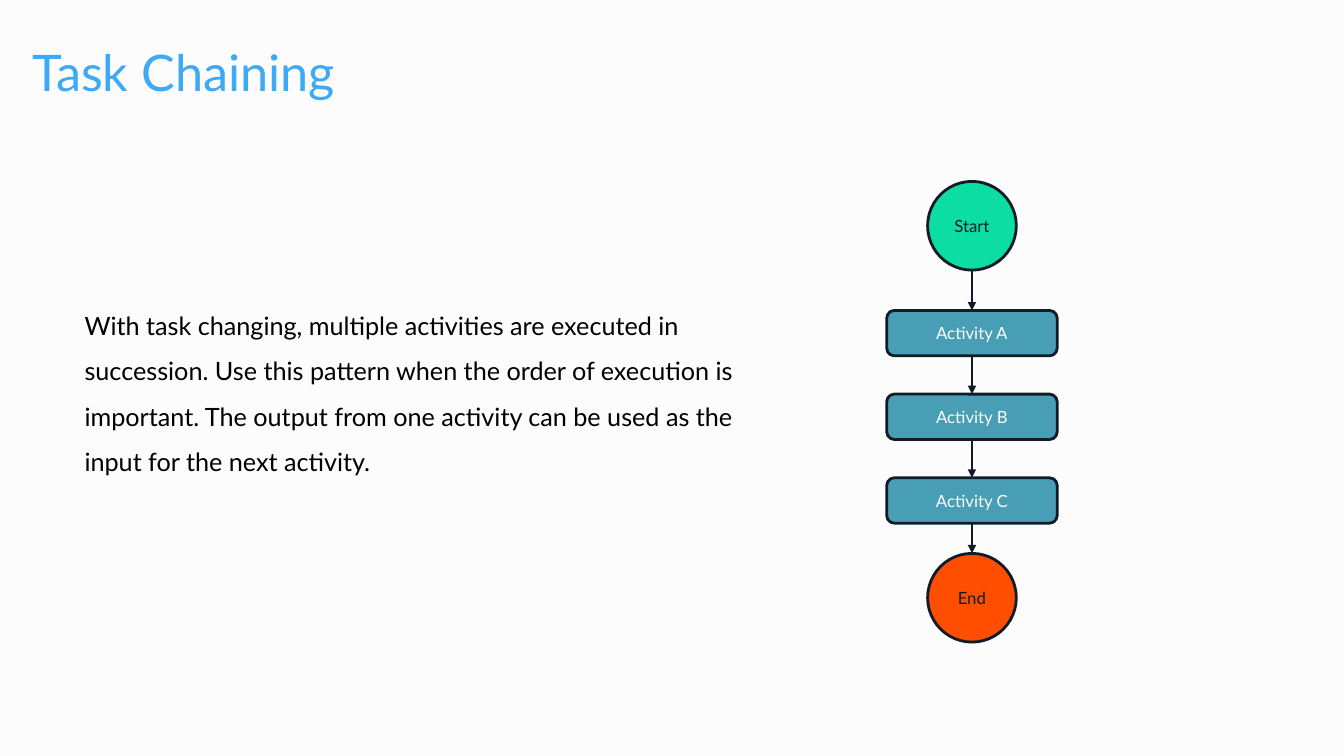
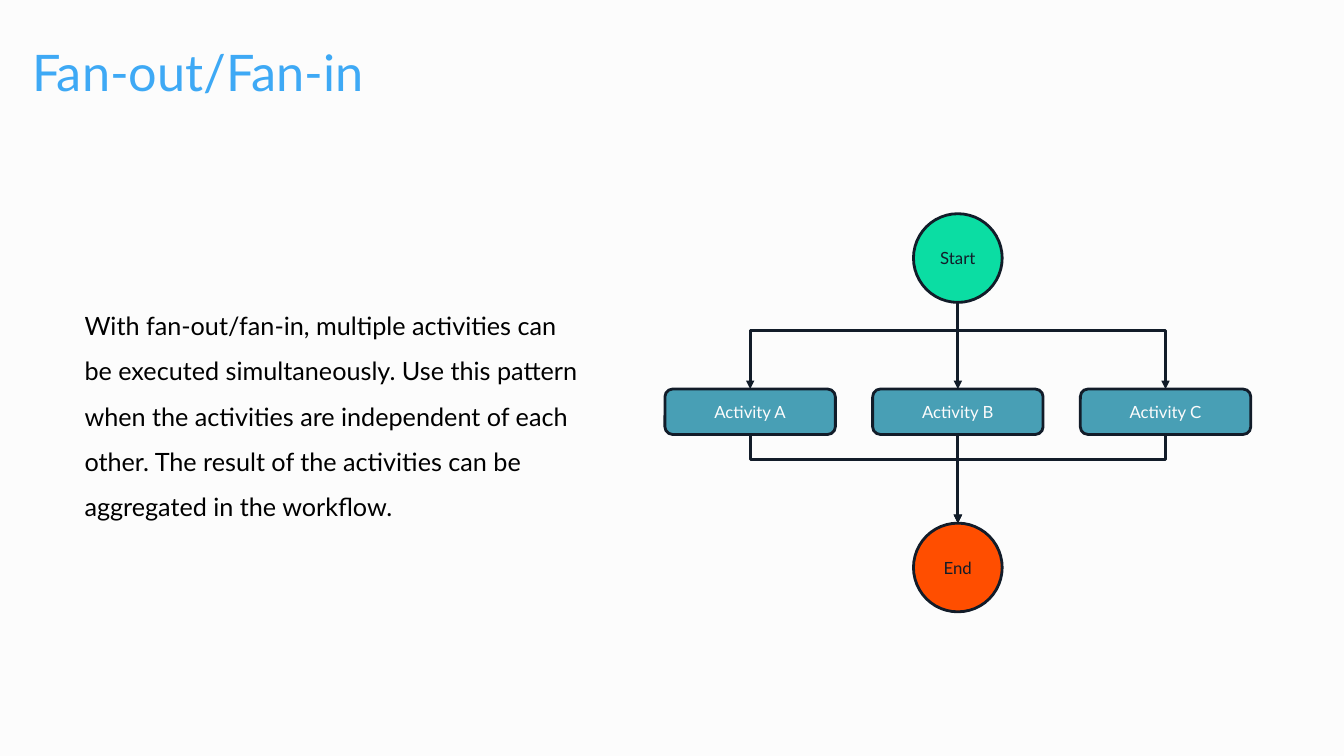
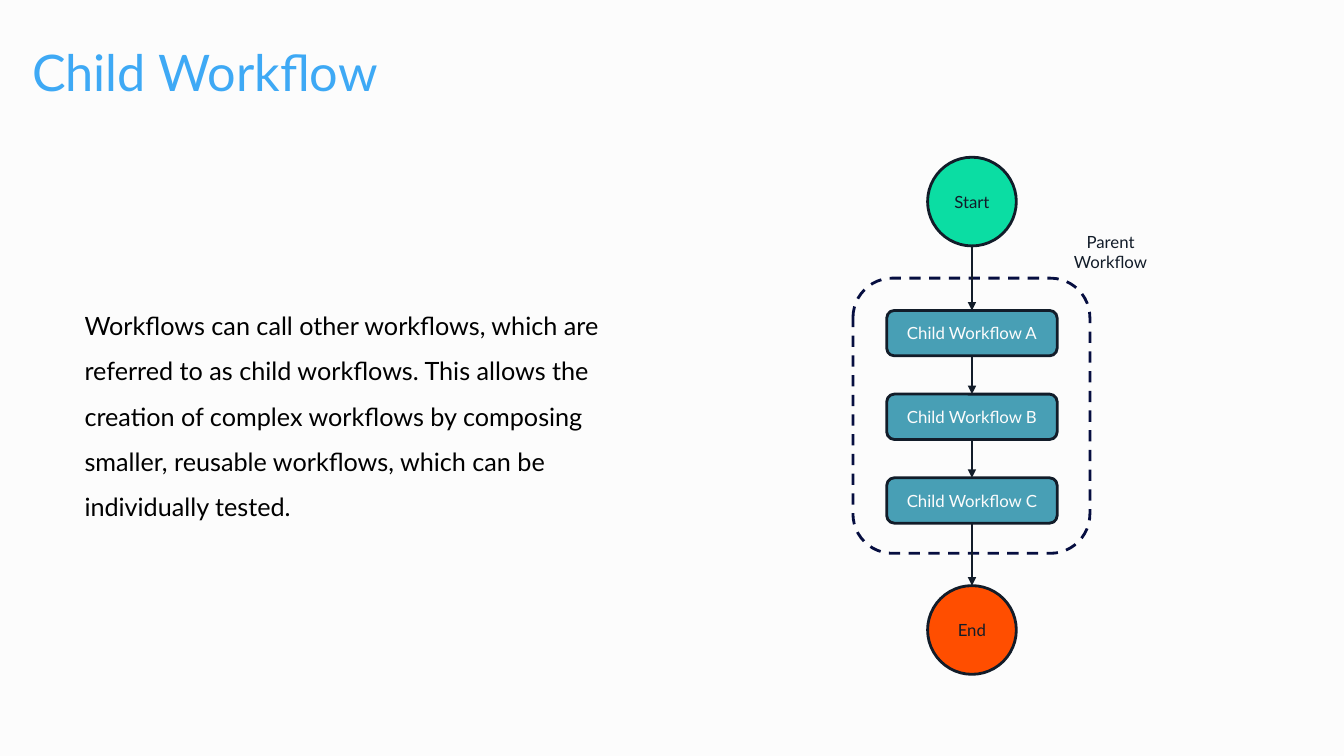
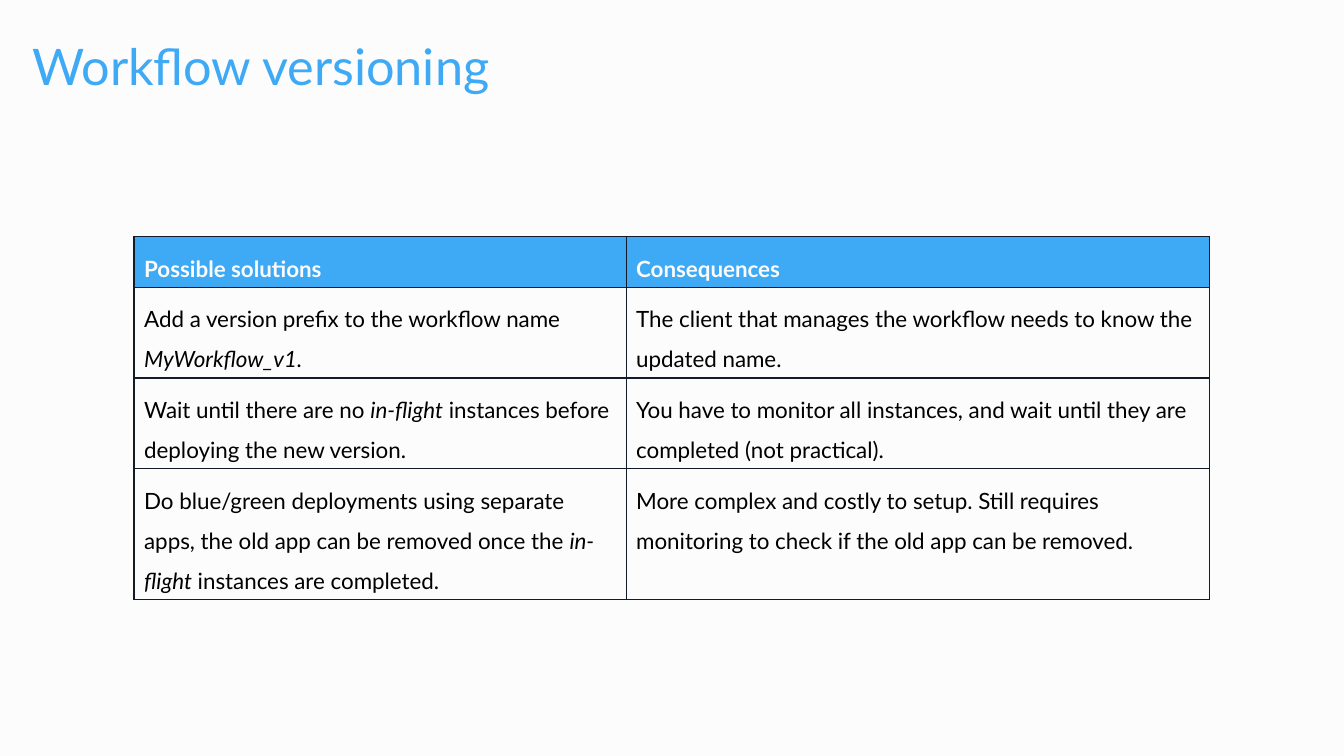
from lxml.etree import SubElement
from pptx import Presentation
from pptx.dml.color import RGBColor
from pptx.enum.dml import MSO_LINE
from pptx.enum.shapes import MSO_CONNECTOR, MSO_SHAPE
from pptx.enum.text import MSO_ANCHOR, MSO_AUTO_SIZE, PP_ALIGN
from pptx.oxml.ns import qn
from pptx.util import Inches, Pt

PAPER = RGBColor(0xFC, 0xFC, 0xFC)
SKY = RGBColor(0x3E, 0xA9, 0xF5)
INK = RGBColor(0x12, 0x1C, 0x29)
NAVY = RGBColor(0x06, 0x0E, 0x40)
TEAL = RGBColor(0x48, 0x9F, 0xB5)
GREEN = RGBColor(0x0B, 0xDD, 0xA3)
ORANGE = RGBColor(0xFF, 0x4E, 0x00)
BLACK = RGBColor(0x00, 0x00, 0x00)

FONT = "Lato"
CIRCLE = 0.88
ACTIVITY_WIDTH = 1.69
ACTIVITY_HEIGHT = 0.45


class Deck:
    def __init__(self):
        self.presentation = Presentation()
        self.presentation.slide_width = Inches(13.33)
        self.presentation.slide_height = Inches(7.5)
        backdrop = self.presentation.slide_master.background.fill
        backdrop.solid()
        backdrop.fore_color.rgb = PAPER
        self.slide = None

    def new_slide(self, title, top=0.24):
        self.slide = self.presentation.slides.add_slide(self.presentation.slide_layouts[6])
        heading = self.text(title, 0.22, top, 12.93, 1.01, 36, SKY, spacing=0.9)
        heading.vertical_anchor = MSO_ANCHOR.MIDDLE

    def style(self, paragraph, size, color, bold=False):
        for run in paragraph.runs:
            run.font.name = FONT
            run.font.size = Pt(size)
            run.font.bold = bold
            run.font.color.rgb = color

    def text(self, words, left, top, width, height, size, color, spacing=1.0, align=PP_ALIGN.LEFT):
        frame = self.slide.shapes.add_textbox(
            Inches(left), Inches(top), Inches(width), Inches(height)).text_frame
        frame.word_wrap = True
        frame.text = words
        paragraph = frame.paragraphs[0]
        paragraph.line_spacing = spacing
        paragraph.alignment = align
        self.style(paragraph, size, color)
        return frame

    def explanation(self, words, width, height):
        frame = self.text(words, 0.74, 2.88, width, height, 18, BLACK, spacing=1.5)
        frame.auto_size = MSO_AUTO_SIZE.SHAPE_TO_FIT_TEXT

    def outlined(self, preset, left, top, width, height, color):
        shape = self.slide.shapes.add_shape(
            preset, Inches(left), Inches(top), Inches(width), Inches(height))
        shape.shadow.inherit = False
        shape.line.color.rgb = color
        shape.line.width = Pt(2)
        return shape

    def node(self, preset, label, center, top, width, height, fill, color):
        shape = self.outlined(preset, center - width / 2, top, width, height, INK)
        shape.fill.solid()
        shape.fill.fore_color.rgb = fill
        frame = shape.text_frame
        frame.text = label
        frame.vertical_anchor = MSO_ANCHOR.MIDDLE
        frame.paragraphs[0].alignment = PP_ALIGN.CENTER
        self.style(frame.paragraphs[0], 12, color)

    def circle(self, label, center, top, fill):
        self.node(MSO_SHAPE.OVAL, label, center, top, CIRCLE, CIRCLE, fill, INK)

    def activity(self, label, center, top):
        self.node(MSO_SHAPE.ROUNDED_RECTANGLE, label, center, top,
                  ACTIVITY_WIDTH, ACTIVITY_HEIGHT, TEAL, PAPER)

    def dashed_frame(self, left, top, width, height):
        shape = self.outlined(MSO_SHAPE.ROUNDED_RECTANGLE, left, top, width, height, NAVY)
        shape.fill.background()
        shape.line.dash_style = MSO_LINE.DASH

    def connector(self, kind, x1, y1, x2, y2):
        arrow = self.slide.shapes.add_connector(
            kind, Inches(x1), Inches(y1), Inches(x2), Inches(y2))
        arrow.line.color.rgb = INK
        arrow.line.width = Pt(2)
        SubElement(arrow.line._get_or_add_ln(), qn("a:tailEnd"), type="triangle")
        properties = arrow._element.spPr
        SubElement(properties, qn("a:effectLst"))
        return properties

    def arrow_down(self, x, top, bottom):
        self.connector(MSO_CONNECTOR.STRAIGHT, x, top, x, bottom)

    def elbow_down(self, x1, top, x2, bottom, bend):
        drop, reach = bottom - top, abs(x2 - x1)
        center, middle = (x1 + x2) / 2, (top + bottom) / 2
        properties = self.connector(
            MSO_CONNECTOR.ELBOW, center - drop / 2, middle - reach / 2,
            center + drop / 2, middle + reach / 2)
        frame = properties.find(qn("a:xfrm"))
        frame.set("rot", "5400000" if x2 < x1 else "16200000")
        if x2 > x1:
            frame.set("flipH", "1")
        guides = properties.find(qn("a:prstGeom")).find(qn("a:avLst"))
        share = round((bend - top) / drop * 100000)
        SubElement(guides, qn("a:gd"), name="adj1", fmla=f"val {share}")

    def chain(self, labels, start_top, end_top):
        center, first_top, pitch = 9.64, 3.08, 0.83
        self.circle("Start", center, start_top, GREEN)
        leave = start_top + CIRCLE
        for index, label in enumerate(labels):
            top = first_top + index * pitch
            self.activity(label, center, top)
            self.arrow_down(center, leave, top)
            leave = top + ACTIVITY_HEIGHT
        self.circle("End", center, end_top, ORANGE)
        self.arrow_down(center, leave, end_top)

    def fan(self, labels, center, start_top, activity_top, end_top):
        pitch, split, merge = 2.06, 3.28, 4.56
        start_bottom = start_top + CIRCLE
        activity_bottom = activity_top + ACTIVITY_HEIGHT
        self.circle("Start", center, start_top, GREEN)
        self.circle("End", center, end_top, ORANGE)
        for index, label in enumerate(labels):
            x = center + (index - 1) * pitch
            self.activity(label, x, activity_top)
            if x == center:
                self.arrow_down(x, start_bottom, activity_top)
                self.arrow_down(x, activity_bottom, end_top)
            else:
                self.elbow_down(center, start_bottom, x, activity_top, split)
                self.elbow_down(x, activity_bottom, center, end_top, merge)

    def cell(self, cell, words, header):
        paragraph = cell.text_frame.paragraphs[0]
        paragraph.line_spacing = 1.5
        for number, line in enumerate(words.split("\n")):
            if number:
                paragraph.add_line_break()
            for index, piece in enumerate(line.split("*")):
                if piece:
                    run = paragraph.add_run()
                    run.text = piece
                    run.font.italic = index % 2 == 1
        self.style(paragraph, 16, PAPER if header else BLACK, bold=header)
        properties = cell._tc.get_or_add_tcPr()
        for side in ("lnL", "lnR", "lnT", "lnB"):
            border = SubElement(properties, qn(f"a:{side}"), w=str(Pt(1)))
            SubElement(SubElement(border, qn("a:solidFill")), qn("a:srgbClr"), val=str(INK))
        if header:
            cell.fill.solid()
            cell.fill.fore_color.rgb = SKY
        else:
            cell.fill.background()

    def table(self, rows, left, top, widths, heights):
        grid = self.slide.shapes.add_table(
            len(rows), len(widths), Inches(left), Inches(top),
            Inches(sum(widths)), Inches(sum(heights))).table
        grid.horz_banding = False
        for column, width in zip(grid.columns, widths):
            column.width = Inches(width)
        for r, (row, height) in enumerate(zip(rows, heights)):
            grid.rows[r].height = Inches(height)
            for c, words in enumerate(row):
                self.cell(grid.cell(r, c), words, header=r == 0)


def main():
    deck = Deck()
    activities = [f"Activity {letter}" for letter in "ABC"]

    deck.new_slide("Task Chaining")
    deck.chain(activities, 1.8, 5.49)
    deck.explanation(
        "With task changing, multiple activities are executed in succession. Use this pattern "
        "when the order of execution is important. The output from one activity can be used as "
        "the input for the next activity.", 6.71, 1.87)

    deck.new_slide("Fan-out/Fan-in")
    deck.fan(activities, 9.5, 2.12, 3.86, 5.19)
    deck.explanation(
        "With fan-out/fan-in, multiple activities can be executed simultaneously. Use this "
        "pattern when the activities are independent of each other. The result of the "
        "activities can be aggregated in the workflow.", 5.16, 2.33)

    deck.new_slide("Child Workflow")
    deck.dashed_frame(8.46, 2.76, 2.35, 2.73)
    deck.explanation(
        "Workflows can call other workflows, which are referred to as child workflows. This "
        "allows the creation of complex workflows by composing smaller, reusable workflows, "
        "which can be individually tested.", 5.37, 2.33)
    deck.chain([f"Child Workflow {letter}" for letter in "ABC"], 1.56, 5.81)
    deck.text("Parent Workflow", 10.3, 2.25, 1.43, 0.5, 12, INK, align=PP_ALIGN.CENTER)

    deck.new_slide("Workflow versioning", top=0.18)
    deck.table([
        ("Possible solutions", "Consequences"),
        ("Add a version prefix to the workflow name \n*MyWorkflow_v1.*",
         "The client that manages the workflow needs to know the updated name."),
        ("Wait until there are no *in-flight* instances before deploying the new version.",
         "You have to monitor all instances, and wait until they are completed (not practical)."),
        ("Do blue/green deployments using separate apps, the old app can be removed once the "
         "*in-flight* instances are completed.",
         "More complex and costly to setup. Still requires monitoring to check if the old app "
         "can be removed."),
    ], 1.33, 2.35, (4.88, 5.79), (0.49, 0.89, 0.89, 1.29))

    deck.presentation.save("out.pptx")


if __name__ == "__main__":
    main()
